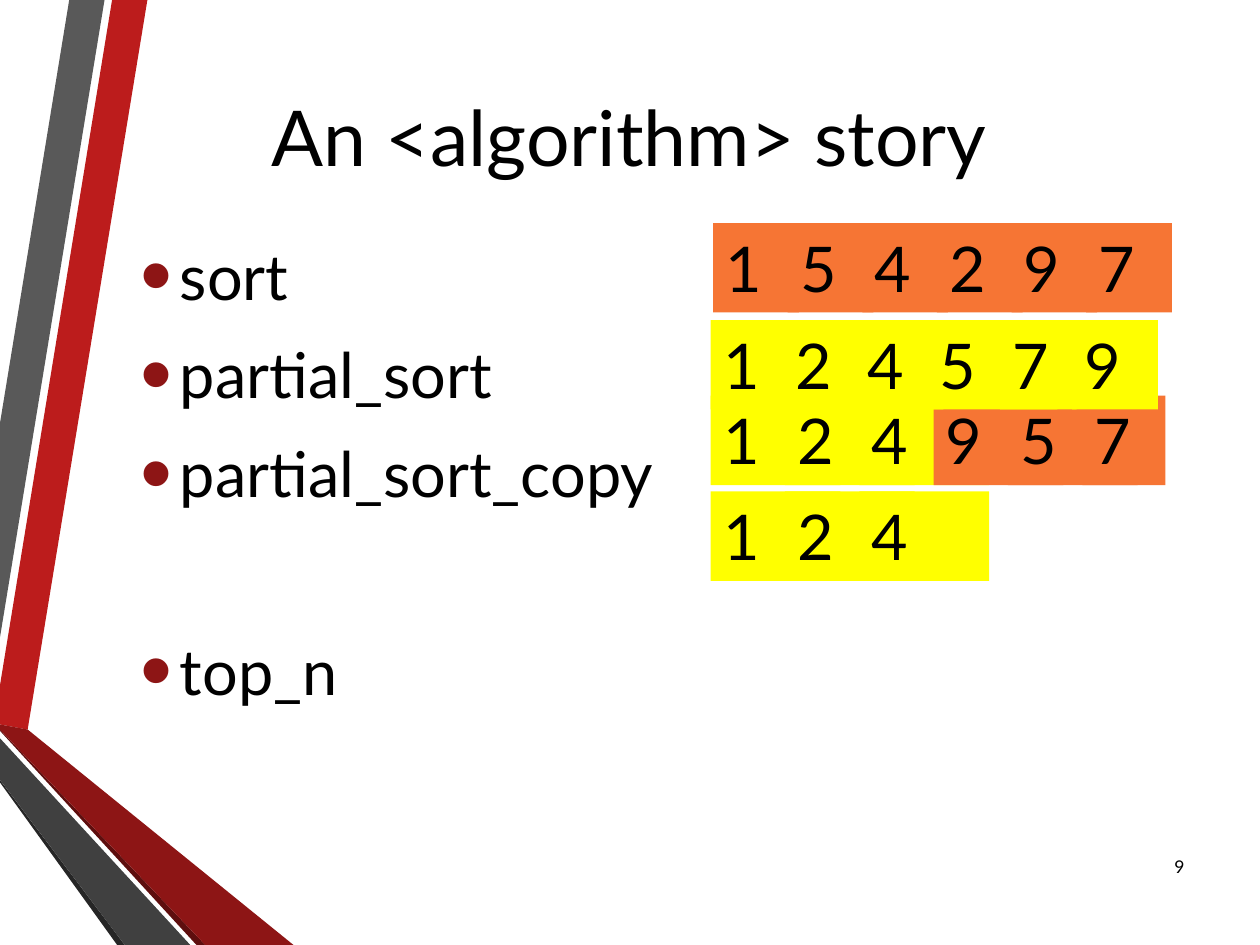
"""Build a slide that tells the story of sorting algorithms with rows of number tiles."""
from dataclasses import dataclass
from typing import Any

from lxml.etree import SubElement
from pptx import Presentation
from pptx.dml.color import RGBColor
from pptx.enum.shapes import MSO_SHAPE as Shape
from pptx.enum.text import MSO_ANCHOR as Anchor, MSO_AUTO_SIZE as AutoSize, PP_ALIGN as Align
from pptx.oxml.ns import qn
from pptx.util import Emu, Inches, Pt

COLUMNS, ROWS = 1000, 750
SLIDE_WIDTH, SLIDE_HEIGHT = Inches(10), Inches(7.5)
CELL = SLIDE_WIDTH // COLUMNS
FONT = "Lato"
BLACK, RED, ORANGE, YELLOW = "000000", "8D1515", "F67534", "FFFF00"
BODY_SIZE = 36
SPACE_BEFORE, SPACE_AFTER = 0.2 * BODY_SIZE, 6
BULLET_PITCH = 1.2 * BODY_SIZE + SPACE_BEFORE + SPACE_AFTER
TILE_HEIGHT = 71


@dataclass(frozen=True)
class Ribbon:
    color: str
    points: tuple[tuple[int, int], ...]


@dataclass(frozen=True)
class TileRow:
    left: int
    top: int
    pitch: float
    digits: str
    widths: tuple[int, ...]
    colors: tuple[str, ...]


@dataclass(frozen=True)
class Bullet:
    text: str
    skipped_lines: int = 0


RIBBONS = (
    Ribbon("BC1C1C", ((0, 544), (0, 575), (22, 579), (117, 0), (89, 0))),
    Ribbon("595959", ((83, 0), (55, 0), (0, 336), (0, 506))),
    Ribbon("262626", ((0, 619), (0, 621), (93, 750), (99, 750))),
    Ribbon("5E0E0E", ((0, 579), (0, 580), (156, 750), (163, 750))),
    Ribbon(RED, ((0, 579), (163, 750), (233, 750), (22, 579), (0, 575))),
    Ribbon("404040", ((0, 619), (99, 750), (151, 750), (0, 586))),
)
TILE_ROWS = (
    TileRow(566, 177, 59.2, "154297", (68,) * 6, (ORANGE,) * 6),
    TileRow(564, 314, 59, "124957", (103,) * 5 + (66,), (YELLOW,) * 3 + (ORANGE,) * 3),
    TileRow(564, 254, 57.4, "124579", (103, 62, 70, 103, 61, 68), (YELLOW,) * 6),
    TileRow(564, 390, 59, "124", (103,) * 3, (YELLOW,) * 3),
)
BULLETS = (
    Bullet("sort"),
    Bullet("partial_sort"),
    Bullet("partial_sort_copy"),
    Bullet("top_n", skipped_lines=1),
)


def rgb(color: str) -> RGBColor:
    return RGBColor.from_string(color)


def grid(*lengths: float) -> list[Emu]:
    return [Emu(round(length * CELL)) for length in lengths]


def apply(target: Any, values: dict[str, Any]) -> None:
    for name, value in values.items():
        setattr(target, name, value)


def paint(shape: Any, color: str) -> None:
    shape.shadow.inherit = False
    shape.fill.solid()
    shape.fill.fore_color.rgb = rgb(color)
    shape.line.fill.background()


def write(paragraph: Any, text: str, size: float, align: Any = Align.LEFT) -> None:
    paragraph.alignment = align
    run = paragraph.add_run()
    run.text = text
    apply(run.font, {"name": FONT, "size": Pt(size)})
    run.font.color.rgb = rgb(BLACK)


def add_text_frame(slide: Any, *box: float) -> Any:
    frame = slide.shapes.add_textbox(*grid(*box)).text_frame
    apply(frame, {"word_wrap": True, "vertical_anchor": Anchor.MIDDLE})
    return frame


def add_ribbon(slide: Any, ribbon: Ribbon) -> None:
    start, *others = ribbon.points
    builder = slide.shapes.build_freeform(*start, scale=CELL)
    builder.add_line_segments(others, close=True)
    paint(builder.convert_to_shape(), ribbon.color)


def add_tile_row(slide: Any, row: TileRow) -> None:
    for index, (digit, width, color) in enumerate(zip(row.digits, row.widths, row.colors)):
        box = grid(row.left + index * row.pitch, row.top, width, TILE_HEIGHT)
        tile = slide.shapes.add_shape(Shape.RECTANGLE, *box)
        paint(tile, color)
        frame = tile.text_frame
        apply(frame, {"word_wrap": True, "vertical_anchor": Anchor.TOP,
                      "auto_size": AutoSize.SHAPE_TO_FIT_TEXT})
        write(frame.paragraphs[0], digit, BODY_SIZE)


def add_bullets(slide: Any) -> None:
    frame = add_text_frame(slide, 102, 137, 502, 476)
    for index, bullet in enumerate(BULLETS):
        paragraph = frame.add_paragraph() if index else frame.paragraphs[0]
        write(paragraph, bullet.text, BODY_SIZE)
        before = SPACE_BEFORE + bullet.skipped_lines * BULLET_PITCH
        apply(paragraph, {"space_before": Pt(before), "space_after": Pt(SPACE_AFTER)})
        properties = paragraph._p.get_or_add_pPr()
        indent = Inches(0.31)
        properties.set("marL", str(indent))
        properties.set("indent", str(-indent))
        SubElement(SubElement(properties, qn("a:buClr")), qn("a:srgbClr"), val=RED)
        SubElement(properties, qn("a:buSzPct"), val="145000")
        SubElement(properties, qn("a:buFont"), typeface="Arial")
        SubElement(properties, qn("a:buChar"), char="•")


def main() -> None:
    presentation = Presentation()
    apply(presentation, {"slide_width": SLIDE_WIDTH, "slide_height": SLIDE_HEIGHT})
    slide = presentation.slides.add_slide(presentation.slide_layouts[6])
    for ribbon in RIBBONS:
        add_ribbon(slide, ribbon)
    title = add_text_frame(slide, -42, 27, 1083, 162)
    write(title.paragraphs[0], "An <algorithm> story", 44, Align.CENTER)
    add_bullets(slide)
    number = add_text_frame(slide, 903, 668, 47, 40)
    write(number.paragraphs[0], "9", 10, Align.RIGHT)
    for row in TILE_ROWS:
        add_tile_row(slide, row)
    presentation.save("out.pptx")


main()
